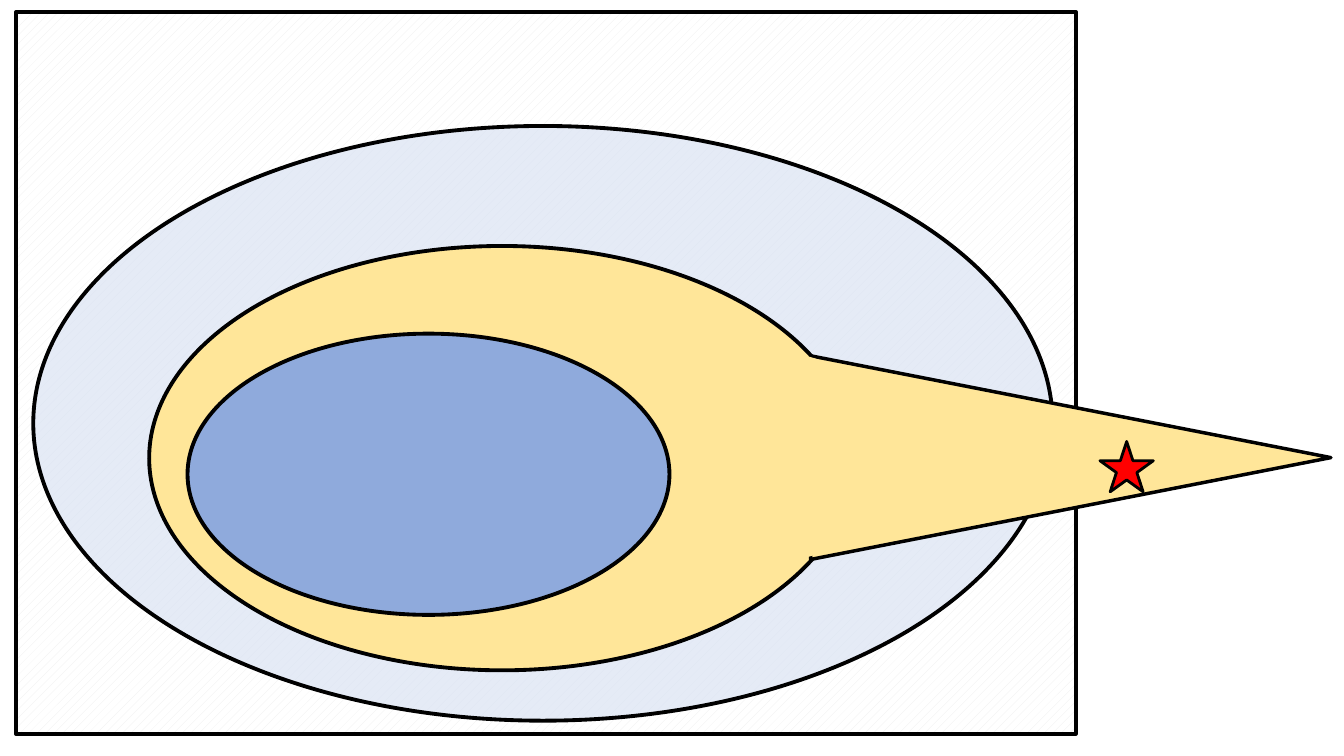
from lxml import etree
from pptx import Presentation
from pptx.dml.color import RGBColor
from pptx.enum.dml import MSO_PATTERN
from pptx.enum.shapes import MSO_SHAPE
from pptx.oxml.ns import qn
from pptx.util import Inches, Pt

RECT, OVAL = MSO_SHAPE.RECTANGLE, MSO_SHAPE.OVAL
TRIANGLE, STAR = MSO_SHAPE.ISOSCELES_TRIANGLE, MSO_SHAPE.STAR_5_POINT
DOTS = MSO_PATTERN.PERCENT_20

BLACK = RGBColor(0x00, 0x00, 0x00)
WHITE = RGBColor(0xFF, 0xFF, 0xFF)
GREY = RGBColor(0xED, 0xED, 0xED)
PALE_BLUE = RGBColor(0xDA, 0xE3, 0xF3)
BLUE = RGBColor(0x8F, 0xAA, 0xDC)
YELLOW = RGBColor(0xFF, 0xE6, 0x99)
RED = RGBColor(0xFF, 0x00, 0x00)

# kind, (left, top, width, height), fill, line width in points, format values
SHAPES = [
    (RECT, (0.16, 0.12, 10.51, 7.16), GREY, 3, {"pattern": DOTS}),
    (OVAL, (0.33, 1.25, 10.11, 5.9), PALE_BLUE, 2.75, {"opacity": 70}),
    (OVAL, (1.48, 2.44, 7, 4.21), YELLOW, 2.75, {}),
    (TRIANGLE, (9.61, 1.96, 2.02, 5.16), YELLOW, 2.5, {"rotation": 90}),
    (OVAL, (1.86, 3.31, 4.78, 2.79), BLUE, 2.75, {}),
    (OVAL, (7.11, 3.52, 1.54, 2.02), YELLOW, None, {}),  # hides the seam
    (STAR, (10.91, 4.38, 0.53, 0.5), RED, 2, {}),
]


def set_opacity(sp, percent):
    color = sp._element.spPr.find(qn("a:solidFill"))[0]
    etree.SubElement(color, qn("a:alpha"), val=str(percent * 1000))


def add_region(slide, kind, box, color, line_width, options):
    sp = slide.shapes.add_shape(kind, *map(Inches, box))
    sp.shadow.inherit = False
    sp.rotation = options.get("rotation", 0)
    if "pattern" in options:
        sp.fill.patterned()
        sp.fill.pattern = options["pattern"]
        sp.fill.fore_color.rgb = color
        sp.fill.back_color.rgb = WHITE
    else:
        sp.fill.solid()
        sp.fill.fore_color.rgb = color
    if "opacity" in options:
        set_opacity(sp, options["opacity"])
    if line_width is None:
        sp.line.fill.background()
    else:
        sp.line.color.rgb = BLACK
        sp.line.width = Pt(line_width)


def main():
    prs = Presentation()
    prs.slide_width, prs.slide_height = Inches(13.33), Inches(7.5)
    slide = prs.slides.add_slide(prs.slide_layouts[6])
    for shape in SHAPES:
        add_region(slide, *shape)
    prs.save("out.pptx")


if __name__ == "__main__":
    main()
